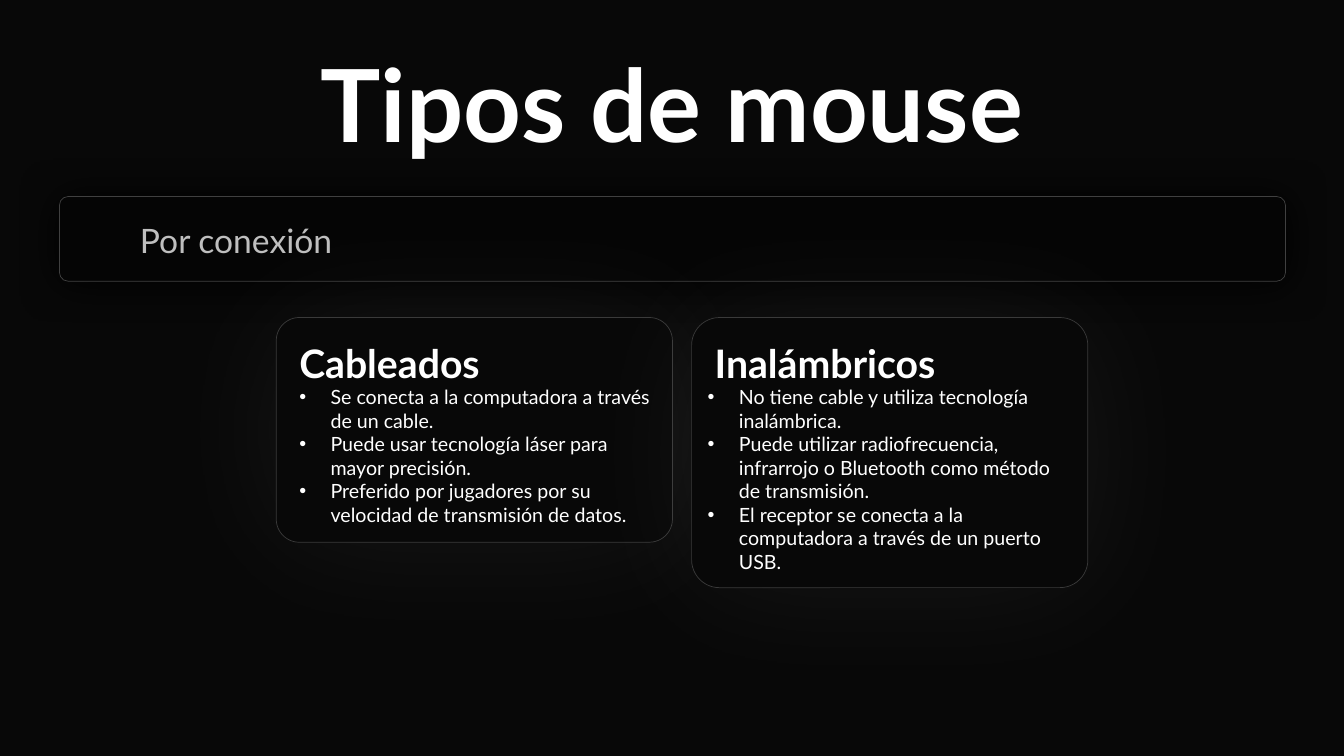
from pptx import Presentation
from pptx.dml.color import RGBColor
from pptx.enum.shapes import MSO_SHAPE
from pptx.enum.text import MSO_ANCHOR, MSO_AUTO_SIZE, PP_ALIGN
from pptx.oxml import parse_xml
from pptx.util import Inches, Pt

ROUNDED = MSO_SHAPE.ROUNDED_RECTANGLE
TOP = MSO_ANCHOR.TOP
NO_FIT = MSO_AUTO_SIZE.NONE
LEFT, CENTER = PP_ALIGN.LEFT, PP_ALIGN.CENTER

NEAR_BLACK = RGBColor(0x08, 0x08, 0x08)
BAR_BLACK = RGBColor(0x05, 0x05, 0x05)
BLACK = RGBColor(0x00, 0x00, 0x00)
WHITE = RGBColor(0xFF, 0xFF, 0xFF)
SILVER = RGBColor(0xBF, 0xBF, 0xBF)
BAR_EDGE = RGBColor(0x40, 0x40, 0x40)
CARD_EDGE = RGBColor(0x3A, 0x3A, 0x3A)
DRAWING_NS = 'xmlns:a="http://schemas.openxmlformats.org/drawingml/2006/main"'

prs = Presentation()
prs.slide_width, prs.slide_height = Inches(13.33), Inches(7.5)
slide = prs.slides.add_slide(prs.slide_layouts[5])
slide.background.fill.solid()
slide.background.fill.fore_color.rgb = NEAR_BLACK


def write(box, lines, size, color=WHITE, bold=False, align=LEFT, bullets=False):
    frame = box.text_frame
    frame.word_wrap = True
    frame.auto_size = NO_FIT
    frame.vertical_anchor = TOP
    for i, line in enumerate(lines):
        paragraph = frame.paragraphs[0] if i == 0 else frame.add_paragraph()
        paragraph.text = line
        paragraph.alignment = align
        if bullets:
            props = paragraph._p.get_or_add_pPr()
            props.set("marL", str(Inches(0.31)))
            props.set("indent", str(-Inches(0.31)))
            props.append(parse_xml(f'<a:buFont {DRAWING_NS} typeface="Arial"/>'))
            props.append(parse_xml(f'<a:buChar {DRAWING_NS} char="•"/>'))
        paragraph.font.name = "Lato"
        paragraph.font.size = Pt(size)
        paragraph.font.bold = bold
        paragraph.font.color.rgb = color


def add_panel(left, top, width, height, fill, edge, glow, opacity, blur):
    panel = slide.shapes.add_shape(
        ROUNDED, Inches(left), Inches(top), Inches(width), Inches(height))
    panel.adjustments[0] = 0.103
    panel.fill.solid()
    panel.fill.fore_color.rgb = fill
    panel.line.color.rgb = edge
    panel.line.width = Pt(0.5)
    panel.shadow.inherit = False
    panel._element.spPr.find("{*}effectLst").append(parse_xml(
        f'<a:outerShdw {DRAWING_NS} blurRad="{Pt(blur)}" dist="0" dir="0" algn="ctr" '
        f'rotWithShape="0"><a:srgbClr val="{glow}"><a:alpha val="{opacity * 1000}"/>'
        f'</a:srgbClr></a:outerShdw>'))


# Subtitle bar
add_panel(0.59, 1.95, 12.16, 0.84, BAR_BLACK, BAR_EDGE, BLACK, 100, 29)
subtitle = slide.shapes.add_textbox(Inches(1.29), Inches(2.13), Inches(7.23), Inches(0.5))
write(subtitle, ["Por conexión"], 24, color=SILVER)

# Title
title = slide.shapes.title
title.left, title.top = Inches(0), Inches(0.36)
title.width, title.height = prs.slide_width, Inches(1.31)
write(title, ["Tipos de mouse"], 72, bold=True, align=CENTER)

# Cards: heading, card left, card height, list left, list height, points
cards = [
    ("Cableados", 2.74, 2.23, 2.87, 1.51, [
        "Se conecta a la computadora a través de un cable.",
        "Puede usar tecnología láser para mayor precisión.",
        "Preferido por jugadores por su velocidad de transmisión de datos.",
    ]),
    ("Inalámbricos", 6.86, 2.68, 6.92, 1.99, [
        "No tiene cable y utiliza tecnología inalámbrica.",
        "Puede utilizar radiofrecuencia, infrarrojo o Bluetooth como método de transmisión.",
        "El receptor se conecta a la computadora a través de un puerto USB.",
    ]),
]
# Both panels go behind all card text
for heading, left, height, list_left, list_height, points in cards:
    add_panel(left, 3.15, 3.93, height, NEAR_BLACK, CARD_EDGE, WHITE, 6, 100)

for heading, left, height, list_left, list_height, points in cards:
    heading_box = slide.shapes.add_textbox(
        Inches(left + 0.13), Inches(3.32), Inches(3.23), Inches(0.57))
    write(heading_box, [heading], 28, bold=True)
    points_box = slide.shapes.add_textbox(
        Inches(list_left), Inches(3.77), Inches(3.68), Inches(list_height))
    write(points_box, points, 14, bullets=True)

prs.save("out.pptx")
